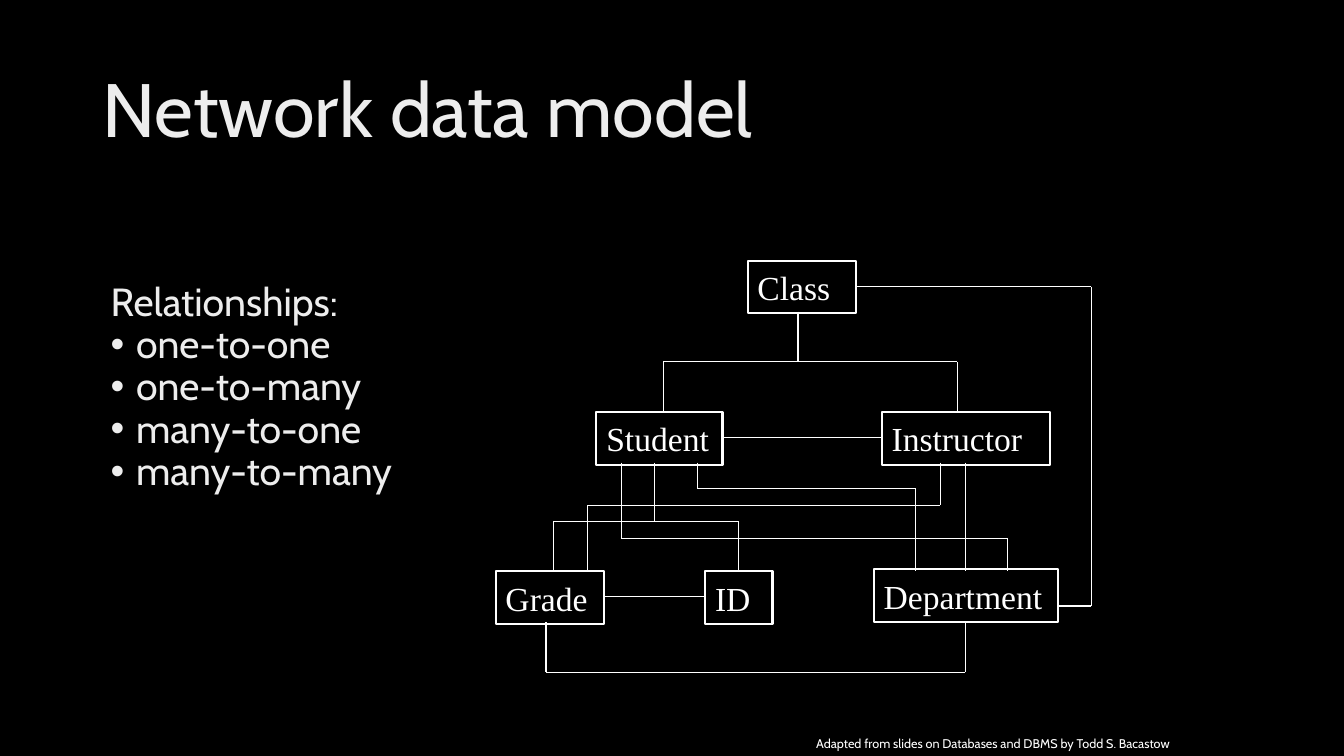
import itertools

import lxml.etree
import pptx
import pptx.dml.color
import pptx.enum.shapes
import pptx.enum.text
import pptx.oxml.ns
import pptx.util

Cm = pptx.util.Cm
Pt = pptx.util.Pt
qn = pptx.oxml.ns.qn

BLACK = pptx.dml.color.RGBColor(0x00, 0x00, 0x00)
WHITE = pptx.dml.color.RGBColor(0xFF, 0xFF, 0xFF)
PALE_GREY = pptx.dml.color.RGBColor(0xED, 0xED, 0xED)
SANS = "Cabin"
SERIF = "Times New Roman"

RELATIONSHIPS = ["one-to-one", "one-to-many", "many-to-one", "many-to-many"]

ENTITY_HEIGHT = 1.32
ENTITIES = [
    ("Class", 6.35, 0, 2.74),
    ("Student", 2.54, 3.81, 3.18),
    ("Instructor", 9.73, 3.81, 4.24),
    ("Grade", 0, 7.82, 2.74),
    ("ID", 5.28, 7.82, 1.7),
    ("Department", 9.53, 7.77, 4.65),
]
ROUTES = [
    [(7.62, 1.27), (7.62, 2.54)],
    [(4.22, 3.81), (4.22, 2.54), (11.63, 2.54), (11.63, 3.81)],
    [(4.01, 5.08), (4.01, 6.55)],
    [(1.47, 7.82), (1.47, 6.55), (6.12, 6.55), (6.12, 7.82)],
    [(11.84, 5.08), (11.84, 7.82)],
    [(5.72, 4.44), (9.73, 4.44)],
    [(2.74, 8.46), (5.28, 8.46)],
    [(1.27, 9.09), (1.27, 10.36), (11.84, 10.36), (11.84, 9.09)],
    [(5.08, 5.08), (5.08, 5.72), (10.57, 5.72), (10.57, 7.82)],
    [(11.2, 5.08), (11.2, 6.15), (2.31, 6.15), (2.31, 7.82)],
    [(9.09, 0.64), (15.01, 0.64), (15.01, 8.69), (14.17, 8.69)],
    [(3.18, 5.08), (3.18, 6.99), (12.9, 6.99), (12.9, 7.82)],
]


def format_runs(paragraph, font_name, size, color):
    paragraph.alignment = pptx.enum.text.PP_ALIGN.LEFT
    for run in paragraph.runs:
        run.font.name = font_name
        run.font.size = Pt(size)
        run.font.color.rgb = color


def place_title(slide, left, top, width, height):
    title = slide.shapes.title
    title.left, title.top, title.width, title.height = map(Cm, (left, top, width, height))
    frame = title.text_frame
    frame.text = "Network data model"
    frame.auto_size = pptx.enum.text.MSO_AUTO_SIZE.NONE
    frame.vertical_anchor = pptx.enum.text.MSO_ANCHOR.MIDDLE
    frame.paragraphs[0].line_spacing = 0.9
    format_runs(frame.paragraphs[0], SANS, 54, PALE_GREY)


def add_relationships(slide, left, top, width, height):
    frame = slide.shapes.add_textbox(*map(Cm, (left, top, width, height))).text_frame
    frame.word_wrap = True
    frame.text = "\n".join(["Relationships:"] + RELATIONSHIPS)
    for position, paragraph in enumerate(frame.paragraphs):
        properties = paragraph._p.get_or_add_pPr()
        properties.set("marL", str(Cm(0.64)))
        properties.set("indent", str(Cm(-0.64)))
        if position:
            bullet_font = lxml.etree.SubElement(properties, qn("a:buFont"))
            bullet_font.set("typeface", "Arial")
            lxml.etree.SubElement(properties, qn("a:buChar")).set("char", "•")
        paragraph.line_spacing = 0.9
        format_runs(paragraph, SANS, 28, PALE_GREY)


def add_entity(slide, name, left, top, width):
    entity = slide.shapes.add_shape(
        pptx.enum.shapes.MSO_SHAPE.RECTANGLE, *map(Cm, (left, top, width, ENTITY_HEIGHT))
    )
    entity.shadow.inherit = False
    entity.fill.background()
    entity.line.color.rgb = WHITE
    entity.line.width = Pt(1.5)
    entity.text_frame.text = name
    entity.text_frame.word_wrap = True
    entity.text_frame.vertical_anchor = pptx.enum.text.MSO_ANCHOR.MIDDLE
    format_runs(entity.text_frame.paragraphs[0], SERIF, 24, WHITE)


def add_link(slide, start, end):
    link = slide.shapes.add_connector(
        pptx.enum.shapes.MSO_CONNECTOR.STRAIGHT, *map(Cm, start + end)
    )
    link.line.color.rgb = WHITE
    link.line.width = Pt(0.75)
    lxml.etree.SubElement(link._element.spPr, qn("a:effectLst"))


def add_network(slide, left, top):
    for name, x, y, width in ENTITIES:
        add_entity(slide, name, left + x, top + y, width)
    for route in ROUTES:
        corners = [(left + x, top + y) for x, y in route]
        for start, end in itertools.pairwise(corners):
            add_link(slide, start, end)


def add_credit(slide, left, top, width, height):
    frame = slide.shapes.add_textbox(*map(Cm, (left, top, width, height))).text_frame
    frame.word_wrap = True
    frame.text = "Adapted from slides on Databases and DBMS by Todd S. Bacastow"
    format_runs(frame.paragraphs[0], SANS, 9, WHITE)


def main():
    deck = pptx.Presentation()
    deck.slide_width = Cm(33.87)
    deck.slide_height = Cm(19.05)
    slide = deck.slides.add_slide(deck.slide_layouts[5])
    slide.background.fill.solid()
    slide.background.fill.fore_color.rgb = BLACK
    place_title(slide, 2.33, 1.01, 29.21, 3.68)
    add_relationships(slide, 2.54, 6.99, 10.58, 11.43)
    add_network(slide, 12.49, 6.58)
    add_credit(slide, 20.32, 18.41, 10.9, 0.64)
    deck.save("out.pptx")


if __name__ == "__main__":
    main()
